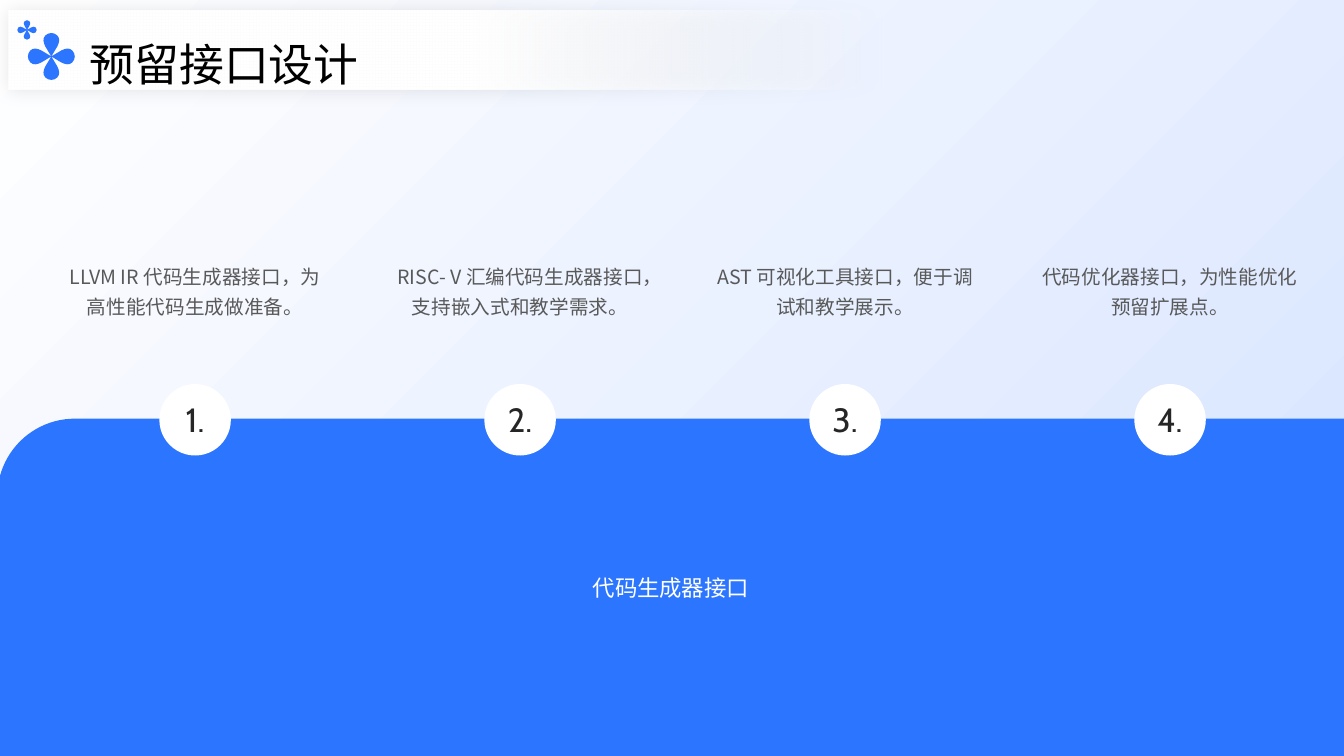
"""Build the slide on reserved interfaces, with lengths in percent of its size."""
import dataclasses

import lxml.etree
import pptx
import pptx.dml.color
import pptx.enum.shapes
import pptx.enum.text
import pptx.oxml.ns
import pptx.util

WIDE = pptx.util.Inches(13.333)
HIGH = pptx.util.Inches(7.5)
SANS = "Noto Sans CJK SC"
BLUE = "2C75FF"
WHITE = "FFFFFF"
KIND = pptx.enum.shapes.MSO_SHAPE
ALIGN = pptx.enum.text.PP_ALIGN
ANCHOR = pptx.enum.text.MSO_ANCHOR
FIRST, PITCH = 14.52, 24.18
HALF = [
    (-20, -33), (-40, -67), (-60, -100),
    (-80, -140), (-90, -180), (-60, -210),
    (-43, -227), (-22, -235), (0, -235),
]


@dataclasses.dataclass
class Box:
    x: float
    y: float
    w: float
    h: float

    def frame(self) -> tuple:
        return (int(WIDE * self.x / 100), int(HIGH * self.y / 100),
                int(WIDE * self.w / 100), int(HIGH * self.h / 100))


@dataclasses.dataclass
class Flower:
    x: float
    y: float
    size: float


ITEMS = [
    "LLVM IR 代码生成器接口，为高性能代码生成做准备。",
    "RISC- V 汇编代码生成器接口，支持嵌入式和教学需求。",
    "AST 可视化工具接口，便于调试和教学展示。",
    "代码优化器接口，为性能优化预留扩展点。",
]
FLOWERS = [Flower(3.82, 7.47, 0.99), Flower(2.01, 3.96, 0.41)]


def paint(text: str) -> pptx.dml.color.RGBColor:
    return pptx.dml.color.RGBColor.from_string(text)


def add(parent, tag: str, **attrs: str):
    return lxml.etree.SubElement(parent, pptx.oxml.ns.qn(tag), attrs)


def finish(shape, color: str = ""):
    shape.shadow.inherit = False
    shape.line.fill.background()
    if color:
        shape.fill.solid()
        shape.fill.fore_color.rgb = paint(color)
    return shape


def draw(slide, kind, box: Box, color: str = ""):
    return finish(slide.shapes.add_shape(kind, *box.frame()), color)


def blend(shape, stops: list, angle: float) -> None:
    shape.fill.gradient()
    shape.fill.gradient_angle = angle
    for stop, (place, color) in zip(shape.fill.gradient_stops, stops):
        stop.position = place
        stop.color.rgb = paint(color)


def write(shape, text: str, *, size: float, color: str, font: str = SANS,
          space: float = 1, align=ALIGN.CENTER, anchor=ANCHOR.TOP,
          inset: bool = False) -> None:
    frame = shape.text_frame
    frame.word_wrap = True
    frame.auto_size = pptx.enum.text.MSO_AUTO_SIZE.NONE
    frame.vertical_anchor = anchor
    if not inset:
        frame.margin_left = frame.margin_right = 0
        frame.margin_top = frame.margin_bottom = 0
    para = frame.paragraphs[0]
    para.alignment = align
    para.line_spacing = space
    para.space_before = pptx.util.Pt(0)
    run = para.add_run()
    run.text = text
    run.font.size = pptx.util.Pt(size)
    run.font.name = font
    run.font.color.rgb = paint(color)
    add(run.font._element, "a:ea", typeface=font)


def label(slide, box: Box, text: str, **style) -> None:
    write(slide.shapes.add_textbox(*box.frame()), text, **style)


def bend(shape) -> None:
    """Turn each three line steps of an outline into one Bezier curve."""
    steps = list(shape._element.iter(pptx.oxml.ns.qn("a:lnTo")))
    for one, two, end in zip(steps[::3], steps[1::3], steps[2::3]):
        one.tag = pptx.oxml.ns.qn("a:cubicBezTo")
        for step in (two, end):
            one.append(step[0])
            step.getparent().remove(step)


def bloom(slide, flower: Flower) -> None:
    petal = HALF + [(-x, y) for x, y in HALF[-2::-1]] + [(0, 0)]
    points = []
    for _ in range(4):
        points += petal
        petal = [(-y, x) for x, y in petal]
    scale = pptx.util.Inches(0.001) * flower.size
    pen = slide.shapes.build_freeform(0, 0, scale)
    pen.add_line_segments(points, close=True)
    x, y, _, _ = Box(flower.x, flower.y, 0, 0).frame()
    bend(finish(pen.convert_to_shape(x, y), BLUE))


def banner(slide) -> None:
    bar = draw(slide, KIND.RECTANGLE, Box(0.68, 1.36, 86.63, 10.53))
    blend(bar, [(0.25, WHITE), (0.6, WHITE)], 180)
    props = bar._element.spPr
    clear = next(props.iter(pptx.oxml.ns.qn("a:srgbClr")))
    add(clear, "a:alpha", val="0")
    glow = props.find(pptx.oxml.ns.qn("a:effectLst"))
    cast = add(glow, "a:outerShdw", blurRad=str(pptx.util.Pt(13)),
               dist="0", dir="0", algn="ctr", rotWithShape="0")
    add(add(cast, "a:srgbClr", val="000000"), "a:alpha", val="10000")


def column(slide, index: int, text: str) -> None:
    mid = FIRST + PITCH * index
    draw(slide, KIND.OVAL, Box(mid - 2.66, 50.8, 5.32, 9.46), WHITE)
    label(slide, Box(mid - 2.85, 52.13, 5.7, 5.73), f"{index + 1}.",
          size=24, color="262626", font="Cabin", inset=True)
    label(slide, Box(mid - 9.6, 34.1, 19.2, 13.6), text,
          size=14, color="595959", space=1.3)


def main() -> None:
    deck = pptx.Presentation()
    deck.slide_width, deck.slide_height = WIDE, HIGH
    slide = deck.slides.add_slide(deck.slide_layouts[5])
    back = draw(slide, KIND.RECTANGLE, Box(0, 0, 100, 100))
    blend(back, [(0, WHITE), (1, "D5E3FF")], 315)
    panel = draw(slide, KIND.ROUND_1_RECTANGLE,
                 Box(-0.2, 55.38, 100.4, 44.62), BLUE)
    panel.adjustments[0] = 0.23
    panel._element.spPr.xfrm.set("flipH", "1")
    for index, text in enumerate(ITEMS):
        column(slide, index, text)
    label(slide, Box(8.52, 66.8, 82.8, 20), "代码生成器接口",
          size=16, color=WHITE, space=1.5, anchor=ANCHOR.MIDDLE)
    banner(slide)
    title = slide.shapes.title
    title.left, title.top, title.width, title.height = Box(
        6.67, 3.47, 63.83, 6.27).frame()
    write(title, "预留接口设计", size=32, color="000000", space=1.5,
          align=ALIGN.LEFT, anchor=ANCHOR.MIDDLE)
    slide.shapes._spTree.append(title._element)
    for flower in FLOWERS:
        bloom(slide, flower)
    deck.save("out.pptx")


if __name__ == "__main__":
    main()
